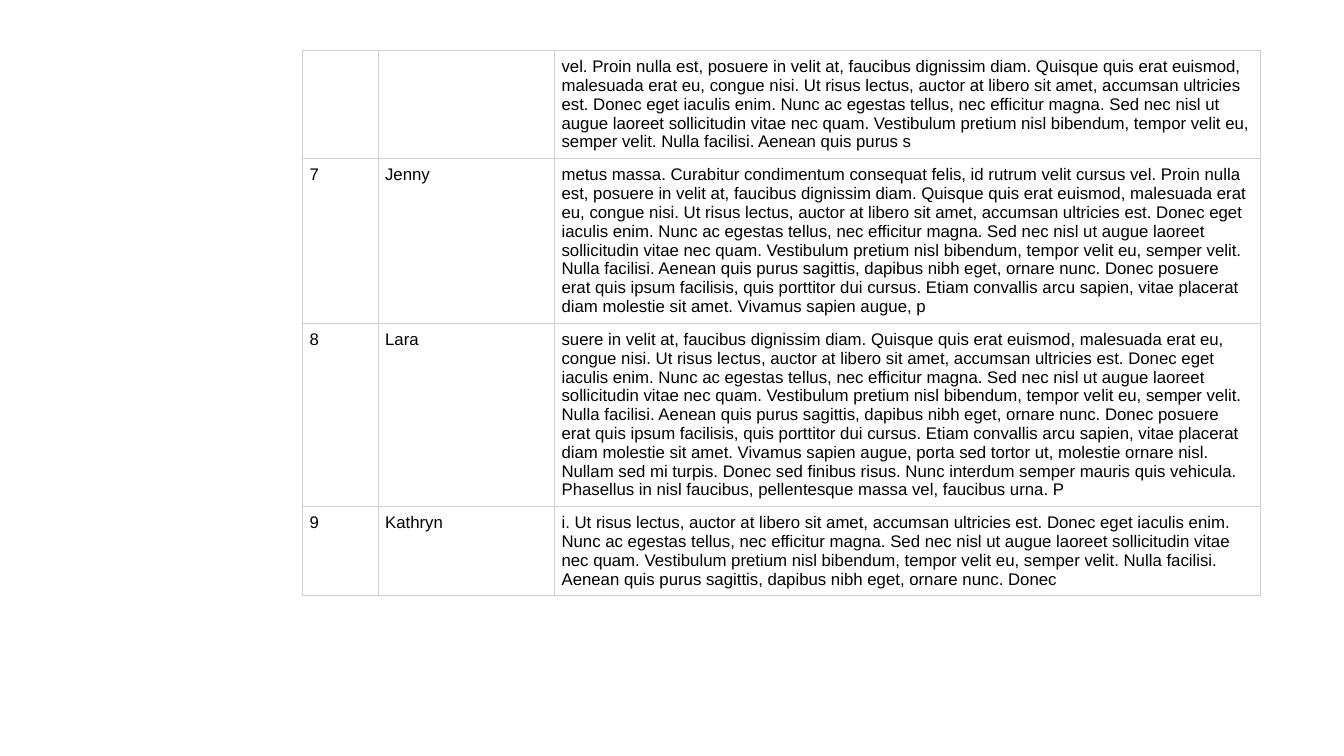
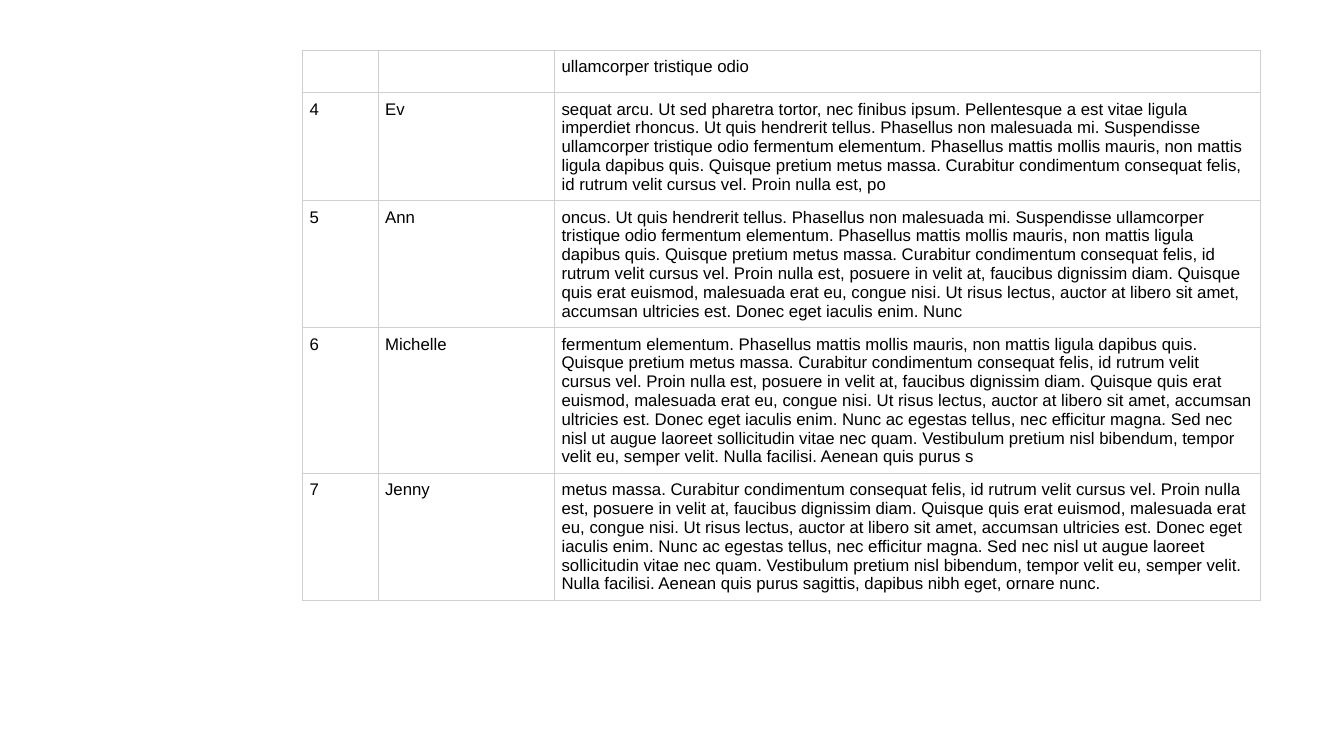
from lxml import etree
from pptx import Presentation
from pptx.dml.color import RGBColor
from pptx.oxml.ns import qn
from pptx.util import Inches, Pt

COLORS = {"text": "000000", "border": "CFCFCF", "page": "FFFFFF"}
FONT = "Arial"
FONT_SIZE = Pt(12)
GRID = Inches(0.25)
TABLE_LEFT, TABLE_TOP = 12 * GRID, 2 * GRID
COLUMN_WIDTHS = [columns * GRID for columns in (3, 7, 28)]
MIN_ROW_HEIGHT = Inches(0.42)
CELL_INSET = Inches(0.07)
BORDER_WIDTH = Pt(1)
BORDER_SIDES = ("a:lnL", "a:lnR", "a:lnT", "a:lnB")

# Every entry in the tables is a stretch of this passage.
SENTENCES = [
    "sequat arcu.",
    "Ut sed pharetra tortor, nec finibus ipsum.",
    "Pellentesque a est vitae ligula imperdiet rhoncus.",
    "Ut quis hendrerit tellus.",
    "Phasellus non malesuada mi.",
    "Suspendisse ullamcorper tristique odio fermentum elementum.",
    "Phasellus mattis mollis mauris, non mattis ligula dapibus quis.",
    "Quisque pretium metus massa.",
    "Curabitur condimentum consequat felis, id rutrum velit cursus vel.",
    "Proin nulla est, posuere in velit at, faucibus dignissim diam.",
    "Quisque quis erat euismod, malesuada erat eu, congue nisi.",
    "Ut risus lectus, auctor at libero sit amet, accumsan ultricies est.",
    "Donec eget iaculis enim.",
    "Nunc ac egestas tellus, nec efficitur magna.",
    "Sed nec nisl ut augue laoreet sollicitudin vitae nec quam.",
    "Vestibulum pretium nisl bibendum, tempor velit eu, semper velit.",
    "Nulla facilisi.",
    "Aenean quis purus sagittis, dapibus nibh eget, ornare nunc.",
    "Donec posuere erat quis ipsum facilisis, quis porttitor dui cursus.",
    "Etiam convallis arcu sapien, vitae placerat diam molestie sit amet.",
    "Vivamus sapien augue, porta sed tortor ut, molestie ornare nisl.",
    "Nullam sed mi turpis.",
    "Donec sed finibus risus.",
    "Nunc interdum semper mauris quis vehicula.",
    "Phasellus in nisl faucibus, pellentesque massa vel, faucibus urna.",
    "P",
]
PASSAGE = " ".join(SENTENCES)

# Each row: number, name, first words and last words of its excerpt.
PAGES = [
    [
        ("", "", "vel. Proin", "purus s"),
        ("7", "Jenny", "metus massa.", "sapien augue, p"),
        ("8", "Lara", "suere in velit", "urna. P"),
        ("9", "Kathryn", "i. Ut risus", "nunc. Donec"),
    ],
    [
        ("", "", "ullamcorper", "odio"),
        ("4", "Ev", "sequat arcu.", "est, po"),
        ("5", "Ann", "oncus. Ut", "enim. Nunc"),
        ("6", "Michelle", "fermentum", "purus s"),
        ("7", "Jenny", "metus massa.", "ornare nunc."),
    ],
]


def excerpt(first_words, last_words):
    """Return the passage from first_words through the next last_words."""
    start = PASSAGE.index(first_words)
    end = PASSAGE.index(last_words, start) + len(last_words)
    return PASSAGE[start:end]


def add_borders(cell):
    properties = cell._tc.get_or_add_tcPr()
    for side in BORDER_SIDES:
        line = etree.SubElement(properties, qn(side), w=str(BORDER_WIDTH))
        fill = etree.SubElement(line, qn("a:solidFill"))
        etree.SubElement(fill, qn("a:srgbClr"), val=COLORS["border"])


def write_cell(cell, text):
    cell.margin_left = cell.margin_right = CELL_INSET
    cell.margin_top = cell.margin_bottom = CELL_INSET
    span = cell.text_frame.paragraphs[0].add_run()
    span.text = text
    span.font.name = FONT
    span.font.size = FONT_SIZE
    span.font.color.rgb = RGBColor.from_string(COLORS["text"])


def add_entry_table(page, entries, left, top):
    """Add a table whose rows grow from the minimum height to fit their text."""
    table = page.shapes.add_table(
        len(entries), len(COLUMN_WIDTHS), left, top,
        sum(COLUMN_WIDTHS), len(entries) * MIN_ROW_HEIGHT,
    ).table
    table.first_row = table.horz_banding = False
    for column, width in zip(table.columns, COLUMN_WIDTHS):
        column.width = width
    for row, (number, name, first_words, last_words) in zip(table.rows, entries):
        texts = (number, name, excerpt(first_words, last_words))
        for cell, text in zip(row.cells, texts):
            add_borders(cell)
            cell.fill.solid()
            cell.fill.fore_color.rgb = RGBColor.from_string(COLORS["page"])
            if text:
                write_cell(cell, text)


def main():
    deck = Presentation()
    deck.slide_width, deck.slide_height = Inches(13.33), Inches(7.5)
    blank_layout = deck.slide_layouts[6]
    for entries in PAGES:
        page = deck.slides.add_slide(blank_layout)
        add_entry_table(page, entries, TABLE_LEFT, TABLE_TOP)
    deck.save("out.pptx")


if __name__ == "__main__":
    main()
